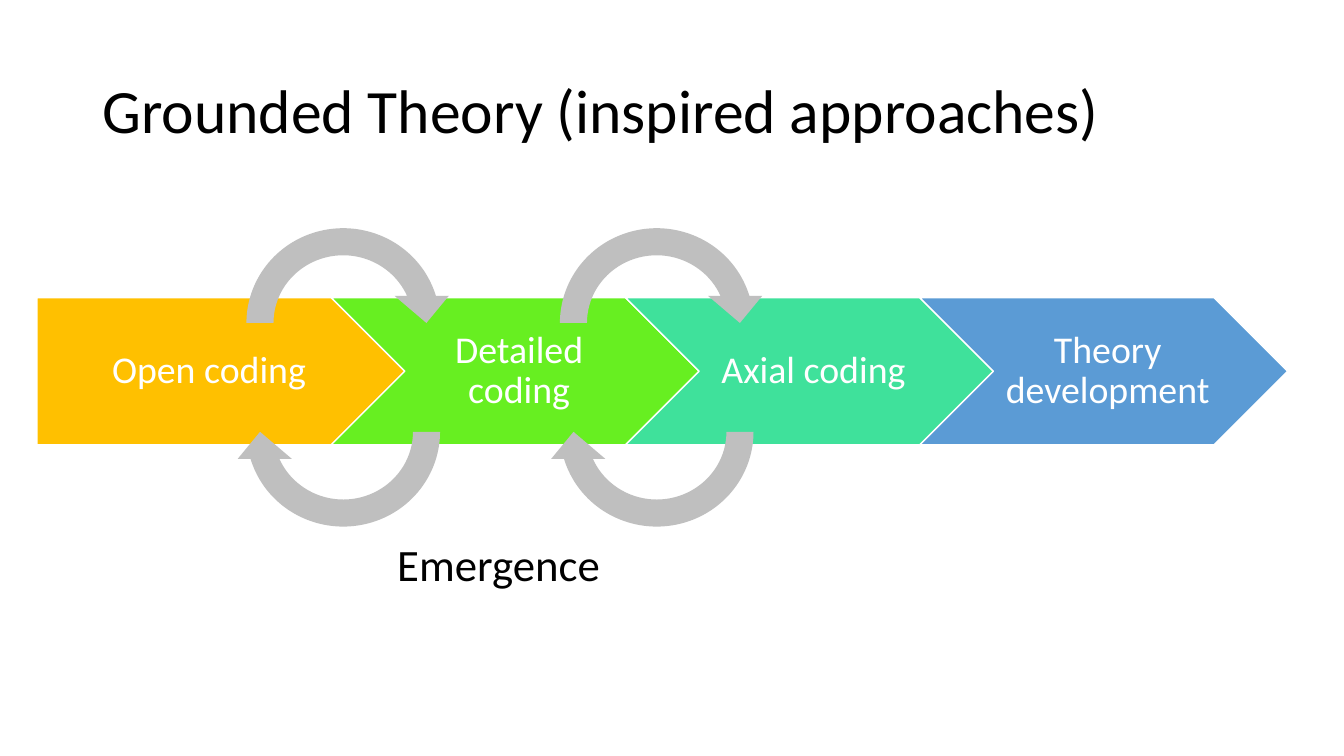
from pptx import Presentation
from pptx.dml.color import RGBColor
from pptx.enum.shapes import MSO_SHAPE
from pptx.enum.text import MSO_ANCHOR, PP_ALIGN
from pptx.util import Cm, Pt

STAGES = [
    ("Open coding", "FFC000"),
    ("Detailed coding", "67EF21"),
    ("Axial coding", "3FE19B"),
    ("Theory development", "5B9BD5"),
]


def paint(fmt, color):
    fmt.solid()
    fmt.fore_color.rgb = RGBColor.from_string(color)


def write(frame, text, size, color, align=PP_ALIGN.LEFT, space=1.0):
    para = frame.paragraphs[0]
    para.alignment = align
    para.line_spacing = space
    run = para.add_run()
    run.text = text
    run.font.name = "Calibri"
    run.font.size = Pt(size)
    paint(run.font.fill, color)


def add_shape(slide, kind, box, color):
    shape = slide.shapes.add_shape(kind, *[Cm(v) for v in box])
    shape.shadow.inherit = False
    paint(shape.fill, color)
    return shape


def add_title(slide, box):
    frame = slide.shapes.add_textbox(*[Cm(v) for v in box]).text_frame
    frame.word_wrap = True
    frame.vertical_anchor = MSO_ANCHOR.MIDDLE
    write(frame, "Grounded Theory (inspired approaches)", 44, "000000", space=0.9)


def add_chain(slide, box):
    left, top, width, high = box
    # Each arrow overlaps the next by a fifth of its own width
    wide = width / (1 + 0.8 * (len(STAGES) - 1))
    for i, (text, color) in enumerate(STAGES):
        kind = MSO_SHAPE.CHEVRON if i else MSO_SHAPE.PENTAGON
        place = (left + i * 0.8 * wide, top, wide, high)
        stage = add_shape(slide, kind, place, color)
        paint(stage.line.fill, "FFFFFF")
        stage.line.width = Pt(1)
        frame = stage.text_frame
        frame.word_wrap = True
        frame.vertical_anchor = MSO_ANCHOR.MIDDLE
        frame.margin_left = Cm(0.28 if i else 0.41)
        frame.margin_right = Cm(0.08)
        frame.margin_top = frame.margin_bottom = Cm(0.2)
        write(frame, text, 27, "FFFFFF", PP_ALIGN.CENTER, 0.9)


def add_loop(slide, box):
    left, top, width, high = box
    size = 5.46
    # Forward arrow above, its half turn below
    for y, turn in ((top, 0), (top + high - size, 180)):
        place = (left, y, width, size)
        arrow = add_shape(slide, MSO_SHAPE.CIRCULAR_ARROW, place, "BFBFBF")
        arrow.line.fill.background()
        arrow.rotation = turn


def add_label(slide, box):
    frame = slide.shapes.add_textbox(*[Cm(v) for v in box]).text_frame
    frame.word_wrap = False
    write(frame, "Emergence", 32, "000000")


def main():
    deck = Presentation()
    deck.slide_width, deck.slide_height = Cm(33.87), Cm(19.05)
    slide = deck.slides.add_slide(deck.slide_layouts[6])
    add_title(slide, (2.33, 1.01, 29.21, 3.68))
    add_chain(slide, (0.93, 7.5, 31.52, 3.71))
    for left in (5.87, 13.77):
        add_loop(slide, (left, 5.41, 5.56, 8.2))
    add_label(slide, (9.76, 13.39, 5.66, 1.62))
    deck.save("out.pptx")


if __name__ == "__main__":
    main()
